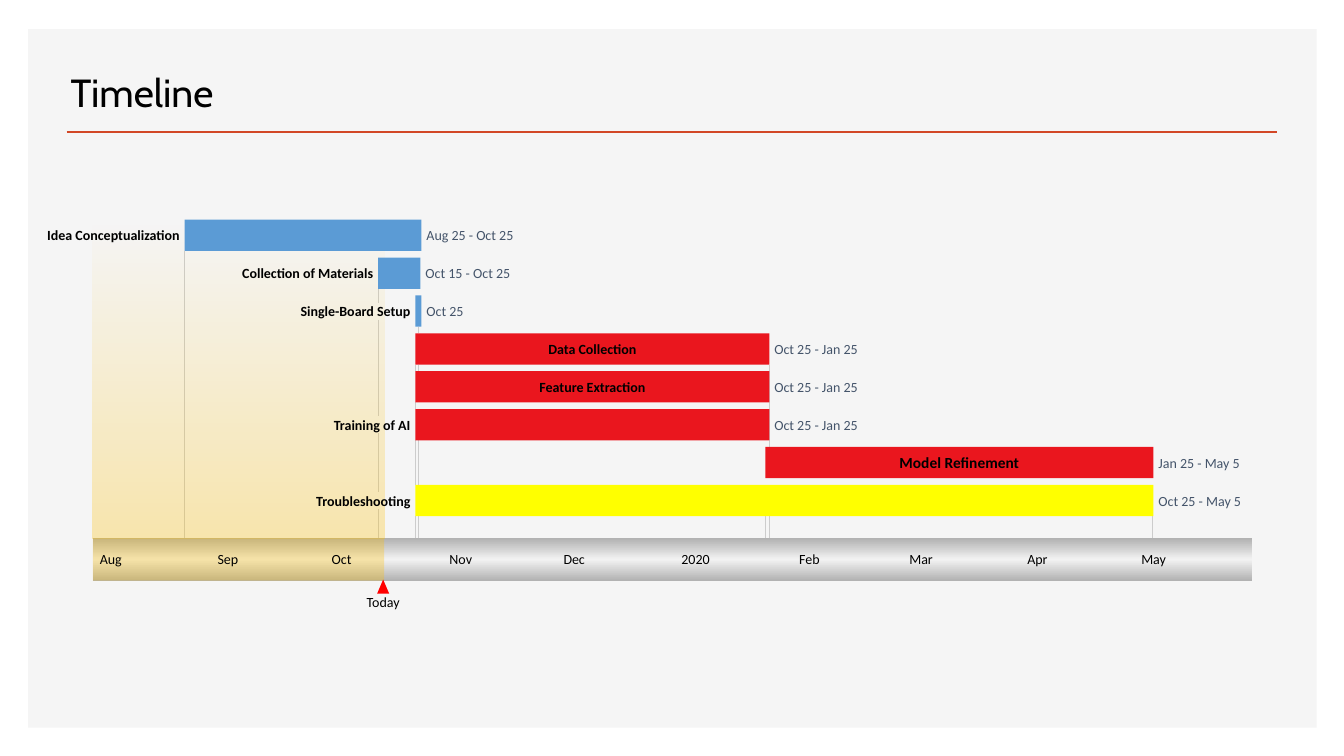
from lxml import etree
from pptx import Presentation, util as u
from pptx.dml.color import RGBColor
from pptx.enum import shapes, text
from pptx.oxml import ns

COLORS = {
    "panel": "F5F5F5", "rule": "D24726", "guide": "CCCCCC", "ink": "000000",
    "dates": "44546A", "blue": "5B9BD5", "red": "EA161E", "yellow": "FFFF00",
    "elapsed": "FFC000", "today": "FF0000", "axis_edge": "B2B2B2", "axis_mid": "F2F2F2",
}
LEFT, CENTER, RIGHT = text.PP_ALIGN.LEFT, text.PP_ALIGN.CENTER, text.PP_ALIGN.RIGHT

# Task, dates, bar left, bar width, colour, label inside the bar, label size
TASKS = [
    ("Idea Conceptualization", "Aug 25 - Oct 25", 1.83, 2.35, "blue", False, 10),
    ("Collection of Materials", "Oct 15 - Oct 25", 3.75, 0.42, "blue", False, 10),
    ("Single-Board Setup", "Oct 25", 4.12, 0.06, "blue", False, 10),
    ("Data Collection", "Oct 25 - Jan 25", 4.12, 3.51, "red", True, 10),
    ("Feature Extraction", "Oct 25 - Jan 25", 4.12, 3.51, "red", True, 10),
    ("Training of AI", "Oct 25 - Jan 25", 4.12, 3.51, "red", False, 10),
    ("Model Refinement", "Jan 25 - May 5", 7.59, 3.85, "red", True, 11),
    ("Troubleshooting", "Oct 25 - May 5", 4.12, 7.32, "yellow", False, 10),
]
# Month and its first day, counted from 1 August
MONTHS = [("Aug", 0), ("Sep", 31), ("Oct", 61), ("Nov", 92), ("Dec", 122),
          ("2020", 153), ("Feb", 184), ("Mar", 213), ("Apr", 244), ("May", 274)]
# Guide x, with (row it leaves, row it reaches); row 8 is the axis
AXIS_ROW = len(TASKS)
GUIDES = {
    1.83: [(0, AXIS_ROW)],
    4.12: [(3, 4), (4, 5), (5, 7), (7, AXIS_ROW)],
    4.15: [(2, 3), (3, 4), (5, 7), (7, AXIS_ROW)],
    7.59: [(7, AXIS_ROW)],
    7.63: [(3, 6), (7, AXIS_ROW)],
    11.43: [(7, AXIS_ROW)],
}
MATERIALS_X, LABELS_CROSSED = 3.75, (2, 5, 7)

CHART_LEFT, CHART_TOP, CHART_WIDTH = 0.92, 2.18, 11.5
AXIS_TOP, AXIS_HEIGHT = 5.34, 0.42
ROW_PITCH, BAR_HEIGHT, LABEL_HEIGHT = 2.63 / 7, 0.31, 0.17
AXIS_LABEL_WIDTH = 0.5
ELAPSED_WIDTH, DAY_WIDTH = 2.89, 0.0377


def rgb(name):
    return RGBColor.from_string(COLORS[name])


def row_top(row):
    return AXIS_TOP if row == AXIS_ROW else CHART_TOP + row * ROW_PITCH


def label_top(row):
    return row_top(row) + (BAR_HEIGHT - LABEL_HEIGHT) / 2


def add_block(slide, box, color, kind=shapes.MSO_SHAPE.RECTANGLE):
    shape = slide.shapes.add_shape(kind, *map(u.Inches, box))
    shape.shadow.inherit = False
    shape.line.fill.background()
    shape.fill.solid()
    shape.fill.fore_color.rgb = rgb(color)
    return shape


def set_alpha(color_element, percent):
    etree.SubElement(color_element, ns.qn("a:alpha"), val=str(percent * 1000))


def set_gradient(shape, stops):
    """Fill from top to bottom with (position, colour, opacity) stops."""
    shape.fill.gradient()
    shape.fill.gradient_angle = 270
    stop_list = shape._element.spPr.find(".//" + ns.qn("a:gsLst"))
    for stop in list(stop_list):
        stop_list.remove(stop)
    for position, color, opacity in stops:
        stop = etree.SubElement(stop_list, ns.qn("a:gs"), pos=str(position * 1000))
        set_alpha(etree.SubElement(stop, ns.qn("a:srgbClr"), val=COLORS[color]), opacity)


def add_line(slide, start, end, color, width):
    line = slide.shapes.add_connector(
        shapes.MSO_CONNECTOR.STRAIGHT, *map(u.Inches, (*start, *end)))
    line.line.color.rgb = rgb(color)
    line.line.width = u.Pt(width)
    etree.SubElement(line._element.spPr, ns.qn("a:effectLst"))


def format_font(font, color, **values):
    font.color.rgb = rgb(color)
    for name, value in values.items():
        setattr(font, name, value)


def add_label(slide, box, words, align=LEFT, color="ink", size=10, bold=False):
    frame = slide.shapes.add_textbox(*map(u.Inches, box)).text_frame
    frame_format = {"margin_left": 0, "margin_right": 0, "margin_top": 0,
                    "margin_bottom": 0, "word_wrap": True,
                    "vertical_anchor": text.MSO_ANCHOR.MIDDLE}
    for name, value in frame_format.items():
        setattr(frame, name, value)
    paragraph = frame.paragraphs[0]
    paragraph.alignment = align
    run = paragraph.add_run()
    run.text = words
    format_font(run.font, color, name="Calibri", size=u.Pt(size), bold=bold)


def add_header(slide, left, top, width, height):
    add_block(slide, (0.28, 0.29, 12.78, 6.93), "panel")
    add_line(slide, (0.66, 1.31), (12.67, 1.31), "rule", 2)
    title = slide.shapes.title
    title.left, title.top, title.width, title.height = map(
        u.Inches, (left, top, width, height))
    title.text_frame.text = "Timeline"
    title.text_frame.vertical_anchor = text.MSO_ANCHOR.TOP
    paragraph = title.text_frame.paragraphs[0]
    paragraph.alignment = LEFT
    format_font(paragraph.runs[0].font, "ink", name="Cabin", size=u.Pt(28))
    # Bring the title in front of the panel
    title._element.getparent().append(title._element)


def add_guides(slide):
    spans = [(x, row_top(first) + BAR_HEIGHT, row_top(last))
             for x, rows in GUIDES.items() for first, last in rows]
    # The materials guide breaks around the labels it crosses
    top = row_top(1) + BAR_HEIGHT
    for row in LABELS_CROSSED:
        spans.append((MATERIALS_X, top, label_top(row)))
        top = label_top(row) + LABEL_HEIGHT
    spans.append((MATERIALS_X, top, AXIS_TOP))
    for x, top, bottom in spans:
        add_line(slide, (x, top), (x, bottom), "guide", 0.6)


def add_axis(slide, left, top, width, height):
    axis = add_block(slide, (left, top, width, height), "axis_mid")
    set_gradient(axis, [(0, "axis_edge", 100), (50, "axis_mid", 100), (100, "axis_edge", 100)])

    # Elapsed time, over the axis and above it
    elapsed = add_block(slide, (left, top, ELAPSED_WIDTH, height), "elapsed")
    set_alpha(elapsed._element.spPr.find(".//" + ns.qn("a:srgbClr")), 30)
    glow = add_block(slide, (left, CHART_TOP, ELAPSED_WIDTH, top - CHART_TOP), "elapsed")
    set_gradient(glow, [(0, "elapsed", 0), (100, "elapsed", 30)])

    # Today marker
    today = left + ELAPSED_WIDTH - 0.01
    add_block(slide, (today - 0.06, top + 0.41, 0.12, 0.14), "today",
              shapes.MSO_SHAPE.ISOSCELES_TRIANGLE)
    add_label(slide, (today - AXIS_LABEL_WIDTH / 2, top + 0.55, AXIS_LABEL_WIDTH, LABEL_HEIGHT),
              "Today", CENTER)

    for month, day in MONTHS:
        add_label(slide, (left + 0.07 + day * DAY_WIDTH, top + 0.12,
                          AXIS_LABEL_WIDTH, LABEL_HEIGHT), month)


def add_task(slide, row, name, dates, left, width, color, inside, size):
    top, right = label_top(row), left + width
    add_block(slide, (left, row_top(row), width, BAR_HEIGHT), color)
    add_label(slide, (right + 0.05, top, 1, LABEL_HEIGHT), dates, color="dates")
    if inside:
        box, align = (left, top, width, LABEL_HEIGHT), CENTER
    else:
        box, align = (left - 1.55, top, 1.5, LABEL_HEIGHT), RIGHT
    add_label(slide, box, name, align, size=size, bold=True)


def main():
    presentation = Presentation()
    presentation.slide_width = u.Inches(13.33)
    presentation.slide_height = u.Inches(7.5)
    slide = presentation.slides.add_slide(presentation.slide_layouts[5])
    add_header(slide, 0.6, 0.63, 8.55, 0.7)
    add_guides(slide)
    add_axis(slide, CHART_LEFT, AXIS_TOP, CHART_WIDTH, AXIS_HEIGHT)
    for row, task in enumerate(TASKS):
        add_task(slide, row, *task)
    presentation.save("out.pptx")


if __name__ == "__main__":
    main()
